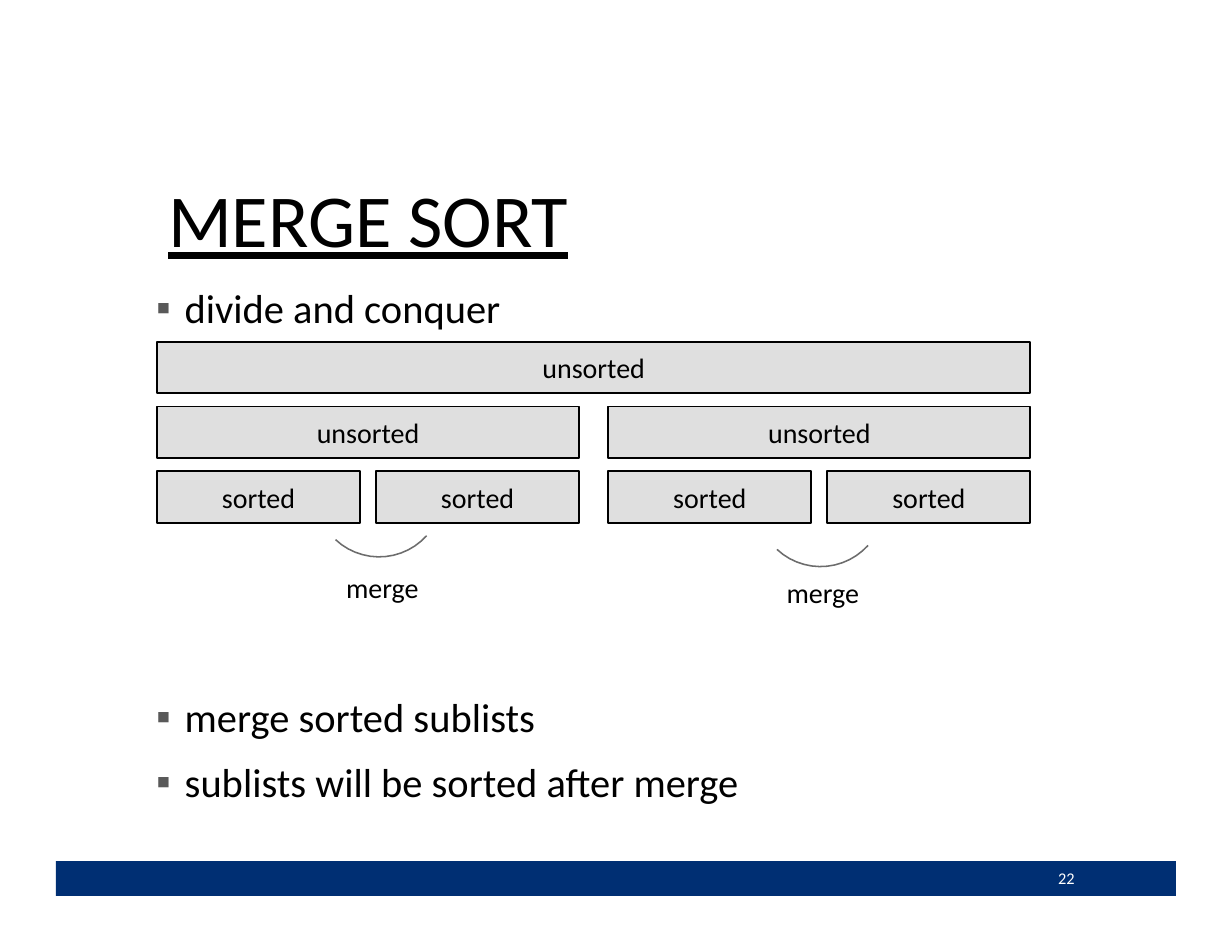
from math import cos, sin, radians
from lxml.etree import SubElement
from pptx import Presentation
from pptx.dml.color import RGBColor as RGB
from pptx.enum.shapes import MSO_SHAPE as Shape
from pptx.enum.text import MSO_ANCHOR as Anchor, MSO_AUTO_SIZE as Auto, PP_ALIGN as Align
from pptx.oxml.ns import qn
from pptx.util import Cm, Pt

FONT = "Calibri"
HUES = {"ink": "000000", "bar": "002F73", "box": "DFDFDF",
        "bullet": "595959", "arc": "6C6C6C", "page": "FFFFFF"}

TITLE = "MERGE SORT"
# left, top, width, height in cm, then the lines
LISTS = [
    ((3.53, 6.4, 12, 1.17), ["divide and conquer"]),
    ((3.53, 15.29, 17, 2.64), ["merge sorted sublists",
                               "sublists will be sorted after merge"]),
]
# each level: words of its boxes
LEVELS = [["unsorted"], ["unsorted"] * 2, ["sorted"] * 4]
GAPS = [0.66, 0.36]  # gap inside a box split in two, per level
# arc centre x, y, then label left, top
MERGES = [((8.6, 11.18), (7.82, 12.9)), ((18.61, 11.4), (17.81, 13.03))]
PAGE = "22"

LEFT, TOP, WIDE, HIGH, STEP = 3.56, 7.75, 19.81, 1.17, 1.47
RADIUS, START, END = 1.45, 42, 133


def hue(name):
    return RGB.from_string(HUES[name])


def set_up(frame, top=0):
    frame.word_wrap = True
    frame.auto_size = Auto.NONE
    frame.vertical_anchor = Anchor.TOP
    frame.margin_left = frame.margin_right = frame.margin_bottom = 0
    frame.margin_top = Cm(top)


def write(par, text, size, color="ink", align=Align.LEFT):
    par.alignment = align
    run = par.add_run()
    run.text = text
    run.font.name = FONT
    run.font.size = Pt(size)
    run.font.color.rgb = hue(color)
    return run


def add_text(slide, place, lines, size, color="ink", top=0.03):
    frame = slide.shapes.add_textbox(*map(Cm, place)).text_frame
    set_up(frame, top)
    for i, line in enumerate(lines):
        par = frame.add_paragraph() if i else frame.paragraphs[0]
        write(par, line, size, color)
    return frame


def add_bullet(par):
    props = par._p.get_or_add_pPr()
    props.set("marL", str(Cm(0.66)))
    props.set("indent", str(-Cm(0.64)))
    tint = SubElement(props, qn("a:buClr"))
    SubElement(tint, qn("a:srgbClr")).set("val", HUES["bullet"])
    SubElement(props, qn("a:buFont")).set("typeface", FONT)
    SubElement(props, qn("a:buChar")).set("char", "▪")


def add_box(slide, place, fill):
    box = slide.shapes.add_shape(Shape.RECTANGLE, *map(Cm, place))
    box.shadow.inherit = False
    box.fill.solid()
    box.fill.fore_color.rgb = hue(fill)
    return box


def halve(spans, gap):
    """Split every (left, width) span into two with a gap between."""
    parts = []
    for left, wide in spans:
        half = (wide - gap) / 2
        parts += [(left, half), (left + half + gap, half)]
    return parts


def add_arc(slide, x, y):
    turns = [radians(a) for a in range(START, END + 1, 7)]
    dots = [(Cm(x + RADIUS * cos(t)), Cm(y + RADIUS * sin(t))) for t in turns]
    pen = slide.shapes.build_freeform(*dots[0])
    pen.add_line_segments(dots[1:], close=False)
    arc = pen.convert_to_shape()
    arc.shadow.inherit = False
    arc.fill.background()
    arc.line.color.rgb = hue("arc")
    arc.line.width = Pt(1)


def main():
    deck = Presentation()
    deck.slide_width, deck.slide_height = Cm(27.94), Cm(21.59)
    slide = deck.slides.add_slide(deck.slide_layouts[5])

    add_box(slide, (1.27, 19.53, 25.4, 0.79), "bar").line.fill.background()

    title = slide.shapes.title
    title.left, title.top, title.width, title.height = map(Cm, (3.4, 2.18, 21.16, 3.78))
    set_up(title.text_frame, 1.75)
    head = title.text_frame.paragraphs[0]
    head._p.get_or_add_pPr().set("marL", str(Cm(0.41)))
    write(head, TITLE, 48).font.underline = True

    for place, lines in LISTS:
        top = 0.03 if len(lines) == 1 else 0.41
        frame = add_text(slide, place, lines, 26, top=top)
        for i, par in enumerate(frame.paragraphs):
            par.space_before = Pt(10.8 if i else 0)
            add_bullet(par)

    spans = [(LEFT, WIDE)]
    for row, words in enumerate(LEVELS):
        if row:
            spans = halve(spans, GAPS[row - 1])
        for (left, wide), word in zip(spans, words):
            box = add_box(slide, (left, TOP + row * STEP, wide, HIGH), "box")
            box.line.color.rgb = hue("ink")
            box.line.width = Pt(1.25)
            set_up(box.text_frame, 0.2)
            write(box.text_frame.paragraphs[0], word, 18, align=Align.CENTER)

    for centre, (left, top) in MERGES:
        add_arc(slide, *centre)
        add_text(slide, (left + 0.03, top, 2, 0.84), ["merge"], 18)

    add_text(slide, (24, 19.56, 0.8, 0.64), [PAGE], 10.5, "page", 0.13)
    deck.save("out.pptx")


if __name__ == "__main__":
    main()
